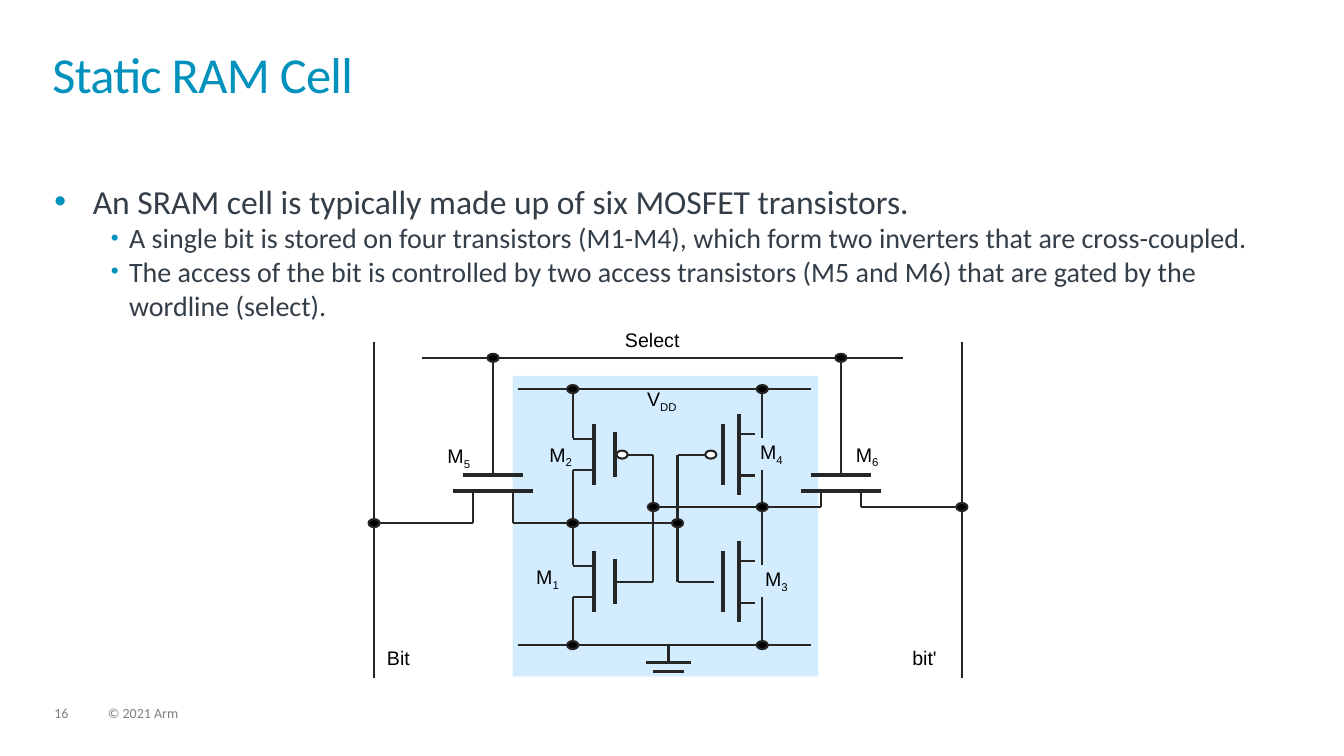
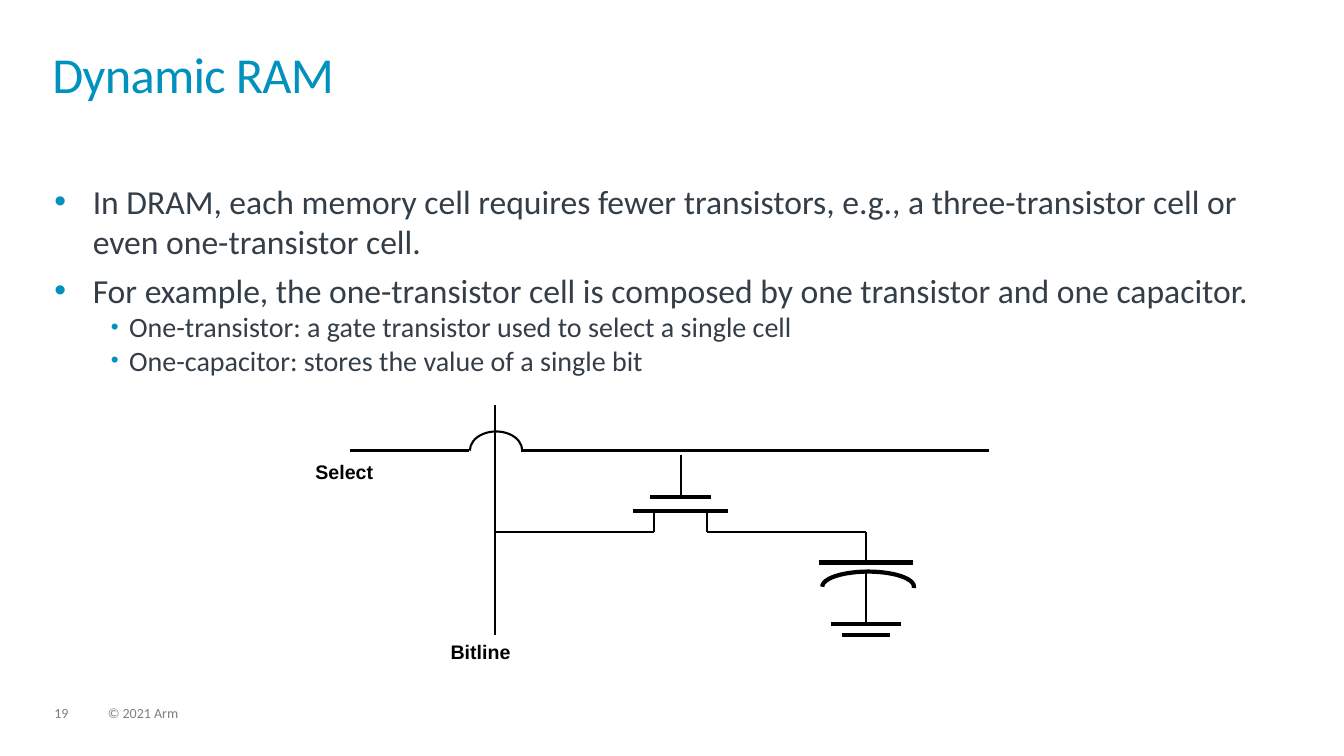
from lxml import etree
from pptx import Presentation
from pptx.dml.color import RGBColor
from pptx.enum.shapes import MSO_CONNECTOR, MSO_SHAPE
from pptx.enum.text import MSO_ANCHOR, MSO_AUTO_SIZE, PP_ALIGN
from pptx.oxml.ns import qn
from pptx.util import Inches, Pt

STRAIGHT = MSO_CONNECTOR.STRAIGHT
RECTANGLE, ELLIPSE, ARC = MSO_SHAPE.RECTANGLE, MSO_SHAPE.OVAL, MSO_SHAPE.ARC
TOP, LEFT = MSO_ANCHOR.TOP, PP_ALIGN.LEFT
NO_AUTOFIT = MSO_AUTO_SIZE.NONE

TEAL = RGBColor(0x00, 0x91, 0xBD)
SLATE = RGBColor(0x33, 0x3E, 0x48)
GREY = RGBColor(0x7F, 0x7F, 0x7F)
INK = RGBColor(0x26, 0x26, 0x26)
BLACK = RGBColor(0x00, 0x00, 0x00)
WHITE = RGBColor(0xFF, 0xFF, 0xFF)
PALE_BLUE = RGBColor(0xD3, 0xED, 0xFF)

TEXT_FONT, LABEL_FONT = "Calibri", "Arial"
THIN, MEDIUM, THICK = 1.5, 2.25, 3

# Per list level: text size, left margin, hanging indent, space before, bullet size
LEVELS = [(24, 0.38, 0.38, 6, 100), (20, 0.74, 0.18, 0, 80)]


def style_font(font, name, size, color, bold=False):
    font.name, font.size, font.bold = name, Pt(size), bold
    font.color.rgb = color


def place(shape, left, top, width, height):
    shape.left, shape.top = Inches(left), Inches(top)
    shape.width, shape.height = Inches(width), Inches(height)


def clear_frame(frame, inset=0):
    frame.word_wrap, frame.auto_size = True, NO_AUTOFIT
    frame.vertical_anchor = TOP
    frame.margin_left = frame.margin_right = Inches(inset)
    frame.margin_top = frame.margin_bottom = Inches(inset / 2)


def add_bullet(paragraph, margin, hanging, percent):
    props = paragraph._p.get_or_add_pPr()
    props.set("marL", str(Inches(margin)))
    props.set("indent", str(-Inches(hanging)))
    color = etree.SubElement(props, qn("a:buClr"))
    etree.SubElement(color, qn("a:srgbClr"), val=str(TEAL))
    etree.SubElement(props, qn("a:buSzPct"), val=str(percent * 1000))
    etree.SubElement(props, qn("a:buFont"), typeface=LABEL_FONT)
    etree.SubElement(props, qn("a:buChar"), char="•")


# Parts that every slide shares
def add_title(slide, text):
    title = slide.shapes.title
    place(title, 0.52, 0.52, 12.28, 0.72)
    clear_frame(title.text_frame)
    paragraph = title.text_frame.paragraphs[0]
    paragraph.text = text
    paragraph.alignment, paragraph.line_spacing = LEFT, 0.85
    style_font(paragraph.font, TEXT_FONT, 36, TEAL)
    paragraph.runs[0]._r.get_or_add_rPr().set("spc", "-50")


def add_body(slide, items):
    body = slide.placeholders[1]
    place(body, 0.54, 1.79, 12.23, 4.47)
    frame = body.text_frame
    clear_frame(frame)
    for index, (level, text) in enumerate(items):
        paragraph = frame.add_paragraph() if index else frame.paragraphs[0]
        size, margin, hanging, before, percent = LEVELS[level]
        paragraph.text, paragraph.level = text, level
        add_bullet(paragraph, margin, hanging, percent)
        paragraph.space_before = Pt(before if index else 0)
        style_font(paragraph.font, TEXT_FONT, size, SLATE)


def add_footer(slide, number):
    for left, width, text in [(0.54, 0.34, number), (1.07, 5.07, "© 2021 Arm")]:
        box = slide.shapes.add_textbox(0, 0, 0, 0)
        place(box, left, 7.01, width, 0.15)
        clear_frame(box.text_frame)
        paragraph = box.text_frame.paragraphs[0]
        paragraph.text, paragraph.line_spacing = text, 0.9
        style_font(paragraph.font, TEXT_FONT, 10, GREY)


def new_slide(deck, number, title, items):
    slide = deck.slides.add_slide(deck.slide_layouts[1])
    add_title(slide, title)
    add_body(slide, items)
    add_footer(slide, number)
    return slide


class Circuit:
    """Circuit drawing whose positions are relative to its own corner."""

    def __init__(self, slide, left, top, color, bold=False):
        self.shapes, self.left, self.top = slide.shapes, left, top
        self.color, self.bold = color, bold

    def wire(self, *points, weight=THIN):
        for (x1, y1), (x2, y2) in zip(points, points[1:]):
            line = self.shapes.add_connector(
                STRAIGHT, Inches(self.left + x1), Inches(self.top + y1),
                Inches(self.left + x2), Inches(self.top + y2))
            line.line.color.rgb, line.line.width = self.color, Pt(weight)
            etree.SubElement(line._element.spPr, qn("a:effectLst"))

    def plate(self, x, y, half, weight=THICK):
        self.wire((x - half, y), (x + half, y), weight=weight)

    def bar(self, x, y, half):
        self.wire((x, y - half), (x, y + half), weight=THICK)

    def outline(self, kind, x, y, width, height, fill=None, weight=THIN):
        """Preset shape centred on (x, y)."""
        shape = self.shapes.add_shape(kind, 0, 0, 0, 0)
        place(shape, self.left + x - width / 2, self.top + y - height / 2,
              width, height)
        shape.shadow.inherit = False
        if fill is None:
            shape.fill.background()
        else:
            shape.fill.solid()
            shape.fill.fore_color.rgb = fill
        if weight:
            shape.line.color.rgb, shape.line.width = self.color, Pt(weight)
        else:
            shape.line.fill.background()
        return shape

    def node(self, x, y, fill=BLACK):
        self.outline(ELLIPSE, x, y, 0.11, 0.08, fill)

    def dome(self, x, y, width, height, weight=THIN):
        """Upper half of an ellipse, made by turning a half arc."""
        arc = self.outline(ARC, x, y, height, width, weight=weight)
        arc.adjustments[0], arc.adjustments[1] = 162, 55
        arc.rotation = 270

    def label(self, x, y, text, subscript=""):
        box = self.shapes.add_textbox(0, 0, 0, 0)
        place(box, self.left + x, self.top + y, 1.04, 0.34)
        clear_frame(box.text_frame, 0.1)
        paragraph = box.text_frame.paragraphs[0]
        paragraph.add_run().text = text
        if subscript:
            run = paragraph.add_run()
            run.text = subscript
            run._r.get_or_add_rPr().set("baseline", "-25000")
        style_font(paragraph.font, LABEL_FONT, 14, BLACK, self.bold)

    def select_transistor(self, x, select_y, gate_y, channel_y, wire_y,
                          gate_half, channel_half, leg_half):
        """Transistor gated from above, with a leg down on each side."""
        self.wire((x, select_y), (x, gate_y))
        self.plate(x, gate_y, gate_half)
        self.plate(x, channel_y, channel_half)
        for leg in (x - leg_half, x + leg_half):
            self.wire((leg, channel_y), (leg, wire_y))

    def inverter_transistor(self, x, y, reach, half):
        """Transistor lying sideways; the sign of reach is its direction."""
        for lead_y in (y - 0.52 * half, y + 0.52 * half):
            self.wire((x, lead_y), (x + reach, lead_y))
        self.bar(x + reach, y, half)
        self.bar(x + 2 * reach, y, 0.75 * half)

    def ground(self, x, y, gap, wide, narrow, weight):
        self.plate(x, y, wide, weight)
        self.plate(x, y + gap, narrow, weight)


def draw_sram_cell(slide, left, top):
    cell = Circuit(slide, left, top, INK)
    bit, bit_bar = 0, 5.83
    access_left, access_right, leg = 1.18, 4.63, 0.2
    rails = rail_left, rail_right = 1.97, 3.85
    gate_left, gate_right = 2.77, 3.01
    select, supply, ground = 0.35, 0.66, 3.2
    upper, lower = 1.31, 2.57
    wire_right, wire_left = 1.83, 1.99
    middle = 2.92

    cell.outline(RECTANGLE, 2.89, 2.02, 3.03, 2.98, PALE_BLUE, weight=0)

    # Bit lines, select line and power rails
    for x in (bit, bit_bar):
        cell.wire((x, 0.19), (x, 3.53))
    cell.wire((0.48, select), (5.25, select))
    for y in (supply, ground):
        cell.wire((1.43, y), (4.33, y))
    cell.wire((middle, ground), (middle, 3.37))
    cell.ground(middle, 3.37, 0.09, 0.22, 0.15, MEDIUM)

    # Access transistors and the storage wires
    for x, wire_y in [(access_left, wire_left), (access_right, wire_right)]:
        cell.select_transistor(x, select, 1.51, 1.67, wire_y, 0.3, 0.4, leg)
    cell.wire((bit, wire_left), (access_left - leg, wire_left))
    cell.wire((access_left + leg, wire_left), (gate_right, wire_left))
    cell.wire((gate_left, wire_right), (access_right - leg, wire_right))
    cell.wire((access_right + leg, wire_right), (bit_bar, wire_right))

    # Cross-coupled inverters
    for x in rails:
        for start, end in [(supply, 1.15), (1.46, 2.41), (2.72, ground)]:
            cell.wire((x, start), (x, end))
    for y in (upper, lower):
        cell.inverter_transistor(rail_left, y, 0.21, 0.3)
        cell.inverter_transistor(rail_right - 0.07, y, -0.16, 0.4)
    cell.wire((2.49, upper), (gate_left, upper), (gate_left, lower),
              (2.39, lower))
    cell.wire((3.29, upper), (gate_right, upper), (gate_right, lower),
              (3.37, lower))
    for x in (2.46, 3.34):
        cell.node(x, upper, WHITE)

    # Junctions
    for x, y in [(access_left, select), (access_right, select),
                 (bit, wire_left), (rail_left, wire_left),
                 (gate_right, wire_left), (gate_left, wire_right),
                 (rail_right, wire_right), (bit_bar, wire_right)]:
        cell.node(x, y)
    for x in rails:
        for y in (supply, ground):
            cell.node(x, y)

    for x, y, *words in [
            (0.03, 3.16, "Bit"), (5.24, 3.16, "bit'"), (2.39, 0, "Select"),
            (2.61, 0.59, "V", "DD"),
            (1.51, 2.36, "M", "1"), (1.64, 1.14, "M", "2"),
            (3.78, 2.38, "M", "3"), (3.73, 1.12, "M", "4"),
            (0.63, 1.16, "M", "5"), (4.68, 1.14, "M", "6")]:
        cell.label(x, y, *words)


def draw_dram_cell(slide, left, top):
    cell = Circuit(slide, left, top, BLACK, bold=True)
    bitline, select, wire_y = 1.88, 0.45, 1.26
    gate, leg = 3.72, 0.26
    capacitor, hop = 5.56, 0.26

    # Bit line with the select line hopping over it
    cell.wire((bitline, 0), (bitline, 2.28))
    cell.wire((0.44, select), (bitline - hop, select))
    cell.wire((bitline + hop, select), (6.78, select))
    cell.dome(bitline + 0.01, select, 2 * hop, 0.38)

    # Gate transistor
    cell.select_transistor(gate, 0.49, 0.91, 1.05, wire_y, 0.3, 0.47, leg)
    cell.wire((bitline, wire_y), (gate - leg, wire_y))

    # Capacitor to ground
    cell.wire((gate + leg, wire_y), (capacitor, wire_y), (capacitor, 1.56))
    cell.plate(capacitor, 1.56, 0.47)
    cell.dome(capacitor + 0.02, 1.8, 0.91, 0.3, THICK)
    cell.wire((capacitor, 1.65), (capacitor, 2.17))
    cell.ground(capacitor, 2.17, 0.11, 0.35, 0.24, THICK)

    cell.label(1.34, 2.28, "Bitline")
    cell.label(0, 0.49, "Select")


def main():
    deck = Presentation()
    deck.slide_width, deck.slide_height = Inches(13.33), Inches(7.5)

    static_ram = new_slide(deck, "16", "Static RAM Cell", [
        (0, "An SRAM cell is typically made up of six MOSFET transistors."),
        (1, "A single bit is stored on four transistors (M1-M4), which form "
            "two inverters that are cross-coupled."),
        (1, "The access of the bit is controlled by two access transistors "
            "(M5 and M6) that are gated by the wordline (select)."),
    ])
    draw_sram_cell(static_ram, 3.71, 3.2)

    dynamic_ram = new_slide(deck, "19", "Dynamic RAM", [
        (0, "In DRAM, each memory cell requires fewer transistors, e.g., a "
            "three-transistor cell or even one-transistor cell."),
        (0, "For example, the one-transistor cell is composed by one "
            "transistor and one capacitor."),
        (1, "One-transistor: a gate transistor used to select a single cell"),
        (1, "One-capacitor: stores the value of a single bit"),
    ])
    draw_dram_cell(dynamic_ram, 3.03, 4.02)

    deck.save("out.pptx")


if __name__ == "__main__":
    main()
